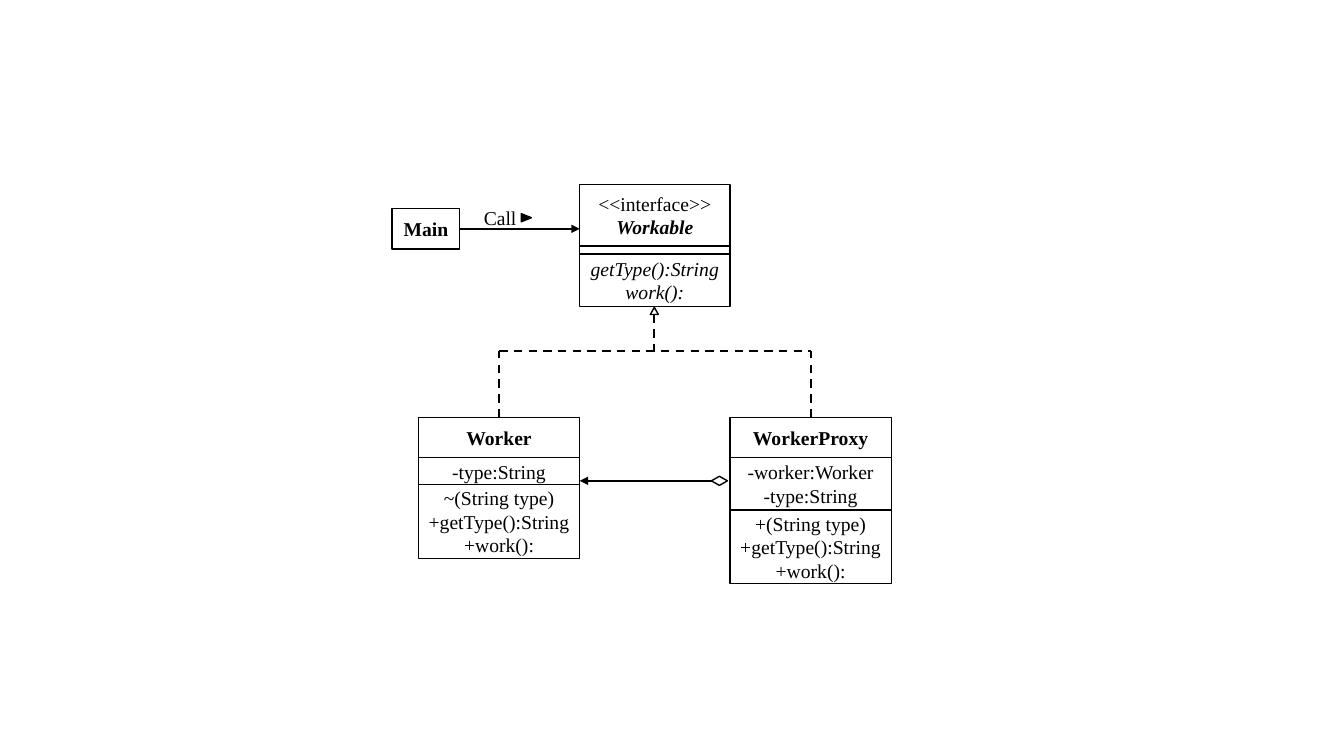
from dataclasses import dataclass

from lxml.etree import SubElement
from pptx import Presentation
from pptx.dml.color import RGBColor
from pptx.enum.dml import MSO_LINE
from pptx.enum.shapes import MSO_CONNECTOR, MSO_SHAPE as Shape
from pptx.enum.text import MSO_ANCHOR as Anchor, PP_ALIGN as Align
from pptx.oxml.ns import qn
from pptx.util import Emu, Pt

PX = 9144
FONT = "Times New Roman"
COLORS = {"ink": "000000", "paper": "FFFFFF"}


@dataclass(frozen=True)
class Section:
    height: int
    text: str = ""
    bold: bool = False
    italic: bool = False


@dataclass(frozen=True)
class ClassBox:
    x: int
    y: int
    width: int
    sections: tuple[Section, ...]


@dataclass(frozen=True)
class Marker:
    kind: Shape
    x: int
    y: int
    width: int
    height: int
    fill: str = "paper"
    rotation: int = 0


@dataclass(frozen=True)
class Link:
    start: tuple[int, int]
    end: tuple[int, int]
    source: str = ""
    side: int = 0
    dashed: bool = False


METHODS = "+getType():String\n+work():"
CLASSES = {
    "Workable": ClassBox(575, 183, 149, (
        Section(61, "<<interface>>\nWorkable"),
        Section(8),
        Section(52, "getType():String\nwork():", italic=True))),
    "Worker": ClassBox(415, 414, 160, (
        Section(40, "Worker", bold=True),
        Section(27, "-type:String"),
        Section(73, "~(String type)\n" + METHODS))),
    "WorkerProxy": ClassBox(724, 414, 160, (
        Section(40, "WorkerProxy", bold=True),
        Section(52, "-worker:Worker\n-type:String"),
        Section(73, "+(String type)\n" + METHODS))),
    "Main": ClassBox(389, 207, 67, (Section(40, "Main", bold=True),)),
}
MARKERS = (
    Marker(Shape.ISOSCELES_TRIANGLE, 645, 305, 8, 7),
    Marker(Shape.DIAMOND, 709, 469, 9, 16, rotation=90),
    Marker(Shape.ISOSCELES_TRIANGLE, 518, 211, 8, 10, "ink", 90),
)
LINKS = (
    Link((495, 348), (804, 348), dashed=True),
    Link((495, 414), (495, 348), "Worker", dashed=True),
    Link((804, 414), (804, 348), "WorkerProxy", dashed=True),
    Link((649, 312), (649, 348), dashed=True),
    Link((706, 477), (575, 477)),
    Link((456, 227), (575, 227), "Main", 3),
)


def px(*values: int) -> list[Emu]:
    return [Emu(v * PX) for v in values]


def color(name: str) -> RGBColor:
    return RGBColor.from_string(COLORS[name])


def write(tf, text: str, *, bold: bool = False, italic: bool = False,
          align=Align.CENTER) -> None:
    tf.text = text
    for p in tf.paragraphs:
        p.alignment = align
        for r in p.runs:
            r.font.name, r.font.size = FONT, Pt(14)
            r.font.bold, r.font.italic = bold, italic
            r.font.color.rgb = color("ink")


def add_marker(shapes, m: Marker):
    sp = shapes.add_shape(m.kind, *px(m.x, m.y, m.width, m.height))
    sp.rotation = m.rotation
    sp.shadow.inherit = False
    sp.fill.solid()
    sp.fill.fore_color.rgb = color(m.fill)
    sp.line.color.rgb = color("ink")
    sp.line.width = Pt(1)
    return sp


def add_class(shapes, box: ClassBox):
    if len(box.sections) > 1:
        shapes = shapes.add_group_shape().shapes
    y, parts = box.y, []
    for section in box.sections:
        sp = add_marker(shapes, Marker(Shape.RECTANGLE, box.x, y, box.width, section.height))
        tf = sp.text_frame
        tf.margin_left = tf.margin_right = tf.margin_top = tf.margin_bottom = 0
        tf.vertical_anchor = Anchor.MIDDLE
        if section.text:
            write(tf, section.text, bold=section.bold, italic=section.italic)
        parts.append(sp)
        y += section.height
    return parts[0]


def add_link(shapes, link: Link, heads: dict) -> None:
    line = shapes.add_connector(MSO_CONNECTOR.STRAIGHT, *px(*link.start, *link.end))
    if link.source:
        line.begin_connect(heads[link.source], link.side)
    line.line.color.rgb = color("ink")
    line.line.width = Pt(1.5)
    if link.dashed:
        line.line.dash_style = MSO_LINE.DASH
    else:
        SubElement(line.line._get_or_add_ln(), qn("a:tailEnd"), type="triangle")
    SubElement(line._element.spPr, qn("a:effectLst"))


def main() -> None:
    prs = Presentation()
    prs.slide_width, prs.slide_height = px(1333, 750)
    shapes = prs.slides.add_slide(prs.slide_layouts[6]).shapes

    heads = {name: add_class(shapes, box) for name, box in CLASSES.items()}
    workable = heads["Workable"].text_frame.paragraphs[1].runs[0].font
    workable.bold = workable.italic = True

    for link in LINKS:
        add_link(shapes, link, heads)
    for marker in MARKERS:
        add_marker(shapes, marker)

    tf = shapes.add_textbox(*px(470, 199, 113, 34)).text_frame
    tf.word_wrap = True
    write(tf, "Call", align=Align.LEFT)

    prs.save("out.pptx")


if __name__ == "__main__":
    main()
